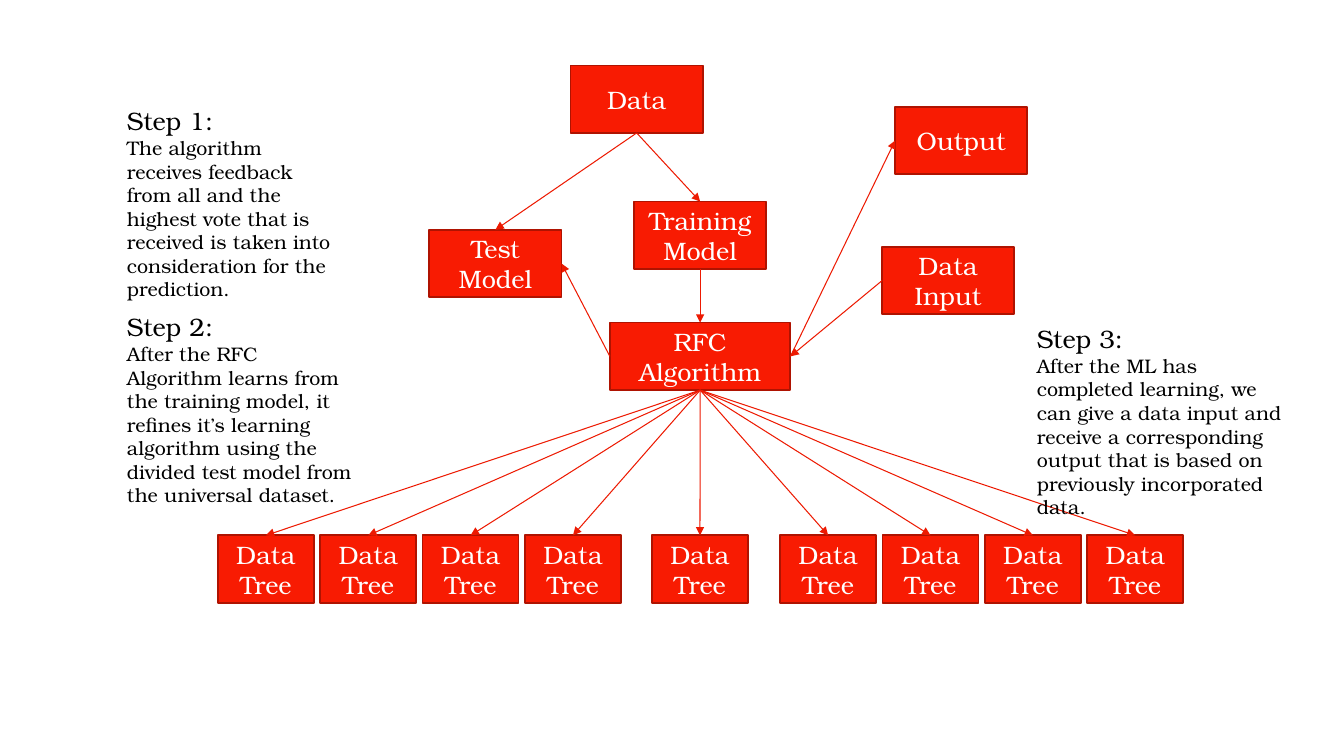
import pptx
import pptx.dml.color
import pptx.enum.shapes
import pptx.enum.text
import pptx.oxml.ns
import pptx.util
from lxml import etree

Cm = pptx.util.Cm
Pt = pptx.util.Pt
TOP, LEFT, BOTTOM, RIGHT = range(4)


class Diagram:
    font = "TeX Gyre Bonum"
    colours = {
        "box": "F81B02",
        "border": "AF1301",
        "arrow": "ED1A02",
        "label": "FFFFFF",
        "text": "000000",
    }
    box_width = 3.33
    box_height = 1.7

    def __init__(self, slide):
        self.slide = slide

    def colour(self, name):
        return pptx.dml.color.RGBColor.from_string(self.colours[name])

    def format_runs(self, paragraph, size, colour):
        for run in paragraph.runs:
            run.font.name = self.font
            run.font.size = Pt(size)
            run.font.color.rgb = self.colour(colour)

    def box(self, label, left, top, width=box_width):
        shape = self.slide.shapes.add_shape(
            pptx.enum.shapes.MSO_SHAPE.RECTANGLE,
            Cm(left), Cm(top), Cm(width), Cm(self.box_height),
        )
        shape.shadow.inherit = False
        shape.fill.solid()
        shape.fill.fore_color.rgb = self.colour("box")
        shape.line.color.rgb = self.colour("border")
        shape.line.width = Pt(1.25)
        text_frame = shape.text_frame
        text_frame.text = label
        text_frame.word_wrap = True
        text_frame.vertical_anchor = pptx.enum.text.MSO_ANCHOR.MIDDLE
        paragraph = text_frame.paragraphs[0]
        paragraph.alignment = pptx.enum.text.PP_ALIGN.CENTER
        self.format_runs(paragraph, 18, "label")
        return shape

    def arrow(self, start, start_side, end, end_side):
        connector = self.slide.shapes.add_connector(
            pptx.enum.shapes.MSO_CONNECTOR.STRAIGHT, 0, 0, 0, 0
        )
        connector.begin_connect(start, start_side)
        connector.end_connect(end, end_side)
        connector.line.color.rgb = self.colour("arrow")
        connector.line.width = Pt(0.75)
        qn = pptx.oxml.ns.qn
        properties = connector.element.spPr
        line = properties.find(qn("a:ln"))
        etree.SubElement(line, qn("a:tailEnd"), type="triangle")
        etree.SubElement(properties, qn("a:effectLst"))

    def step(self, title, body, left, top, width, height):
        shape = self.slide.shapes.add_textbox(Cm(left), Cm(top), Cm(width), Cm(height))
        text_frame = shape.text_frame
        text_frame.word_wrap = True
        text_frame.auto_size = pptx.enum.text.MSO_AUTO_SIZE.SHAPE_TO_FIT_TEXT
        heading = text_frame.paragraphs[0]
        heading.text = title
        self.format_runs(heading, 18, "text")
        paragraph = text_frame.add_paragraph()
        paragraph.text = body
        self.format_runs(paragraph, 14, "text")


def main():
    presentation = pptx.Presentation()
    presentation.slide_width = Cm(33.87)
    presentation.slide_height = Cm(19.05)
    diagram = Diagram(presentation.slides.add_slide(presentation.slide_layouts[6]))

    data = diagram.box("Data", 14.38, 1.65)
    training = diagram.box("Training Model", 15.98, 5.08)
    test = diagram.box("Test Model", 10.82, 5.79)
    algorithm = diagram.box("RFC Algorithm", 15.37, 8.13, 4.55)
    output = diagram.box("Output", 22.56, 2.69)
    data_input = diagram.box("Data Input", 22.23, 6.22)

    tree_pitch = 2.58
    left_trees = [5.49 + tree_pitch * index for index in range(4)]
    right_trees = [19.66 + tree_pitch * index for index in range(4)]
    for left in left_trees + [16.43] + right_trees:
        tree = diagram.box("Data Tree", left, 13.49, 2.42)
        diagram.arrow(algorithm, BOTTOM, tree, TOP)

    diagram.arrow(data, BOTTOM, training, TOP)
    diagram.arrow(data, BOTTOM, test, TOP)
    diagram.arrow(training, BOTTOM, algorithm, TOP)
    diagram.arrow(algorithm, LEFT, test, RIGHT)
    diagram.arrow(algorithm, RIGHT, output, LEFT)
    diagram.arrow(data_input, LEFT, algorithm, RIGHT)

    diagram.step(
        "Step 1:",
        "The algorithm receives feedback from all and the highest vote that is "
        "received is taken into consideration for the prediction.",
        2.95, 2.54, 5.94, 4.62,
    )
    diagram.step(
        "Step 2:",
        "After the RFC Algorithm learns from the training model, it refines it’s "
        "learning algorithm using the divided test model from the universal dataset.",
        2.95, 7.73, 6.25, 5.21,
    )
    diagram.step(
        "Step 3:",
        "After the ML has completed learning, we can give a data input and receive a "
        "corresponding output that is based on previously incorporated data.",
        25.88, 8.03, 6.83, 4.62,
    )
    presentation.save("out.pptx")


if __name__ == "__main__":
    main()
